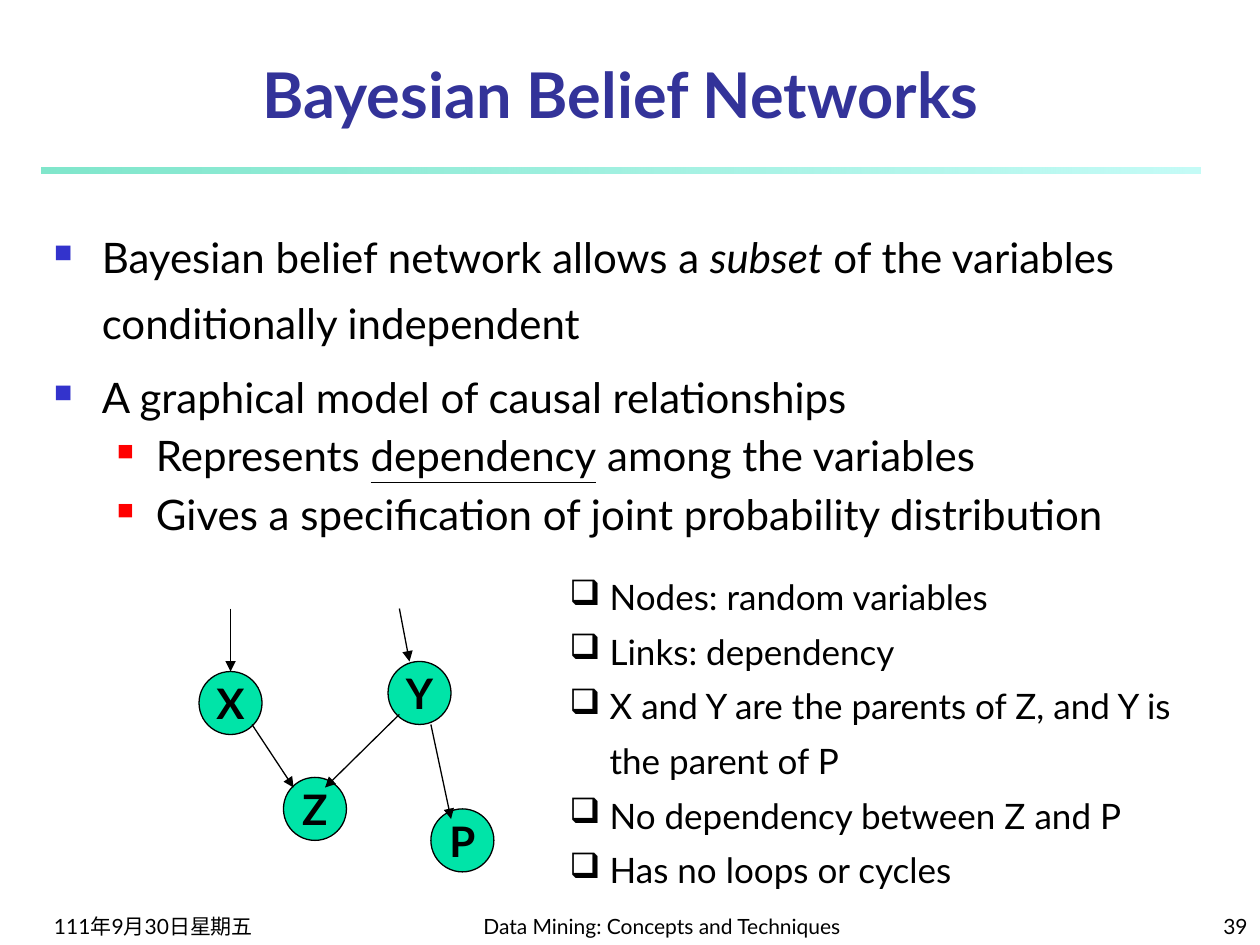
from dataclasses import dataclass

from lxml.etree import SubElement
from pptx import Presentation
from pptx.dml.color import RGBColor
from pptx.enum.shapes import MSO_CONNECTOR, MSO_SHAPE
from pptx.enum.text import MSO_ANCHOR, PP_ALIGN
from pptx.oxml.ns import qn
from pptx.util import Inches, Pt


@dataclass(frozen=True)
class Theme:
    font: str = "Lato"
    ink: str = "000000"
    title: str = "333399"
    node: str = "00E4A8"
    bullet: str = "3333CC"
    sub_bullet: str = "FF0000"
    rule: tuple = (("00CE98", 50), ("8FF9EF", 52))
    title_size: int = 36
    body_size: int = 24
    list_size: int = 20
    footer_size: int = 12


class SlideBuilder:
    def __init__(self, slide, theme):
        self.slide = slide
        self.theme = theme

    def style(self, para, size, color=None, bold=False):
        for span in para.runs:
            font = span.font
            font.name, font.size, font.bold = self.theme.font, Pt(size), bold
            font.color.rgb = RGBColor.from_string(color or self.theme.ink)

    def text_box(self, place, anchor=MSO_ANCHOR.TOP):
        box = self.slide.shapes.add_textbox(*map(Inches, place))
        box.text_frame.word_wrap = True
        box.text_frame.vertical_anchor = anchor
        return box.text_frame

    def label(self, place, text, size, align, color=None, bold=False):
        frame = self.text_box(place, MSO_ANCHOR.BOTTOM)
        frame.text = text
        para = frame.paragraphs[0]
        para.alignment = align
        self.style(para, size, color, bold)

    def bullet(self, para, char, left, hanging, color=None, percent=100):
        props = para._p.get_or_add_pPr()
        props.set("marL", str(Inches(left)))
        props.set("indent", str(-Inches(hanging)))
        bullet_color = SubElement(props, qn("a:buClr"))
        SubElement(bullet_color, qn("a:srgbClr"), val=color or self.theme.ink)
        SubElement(props, qn("a:buSzPct"), val=str(percent * 1000))
        SubElement(props, qn("a:buChar"), char=char)

    def paragraph(self, frame, index):
        return frame.add_paragraph() if index else frame.paragraphs[0]

    def outline(self, place, items):
        """Each item is a level and its spans; a span is a text and a style."""
        frame = self.text_box(place)
        levels = ((0.38, 0.38, self.theme.bullet, 60),
                  (0.81, 0.31, self.theme.sub_bullet, 55))
        for index, (level, spans) in enumerate(items):
            para = self.paragraph(frame, index)
            para.level = level
            self.bullet(para, "■", *levels[level])
            if level == 0:
                para.line_spacing = 1.3
            if index:
                para.space_before = Pt(self.theme.body_size * 0.2)
            for text, emphasis in spans:
                span = para.add_run()
                span.text = text
                span.font.italic = emphasis == "italic"
                span.font.underline = emphasis == "underline"
            self.style(para, self.theme.body_size)

    def checklist(self, place, items):
        frame = self.text_box(place)
        for index, text in enumerate(items):
            para = self.paragraph(frame, index)
            para.text = text
            para.line_spacing = 1.3
            self.bullet(para, "❑", 0.32, 0.32)
            self.style(para, self.theme.list_size)

    def rule(self, place):
        bar = self.slide.shapes.add_shape(MSO_SHAPE.RECTANGLE, *map(Inches, place))
        bar.shadow.inherit = False
        bar.line.fill.background()
        bar.fill.gradient()
        bar.fill.gradient_angle = 0
        for stop, (color, opacity) in zip(bar.fill.gradient_stops, self.theme.rule):
            stop.color.rgb = RGBColor.from_string(color)
        colors = bar._element.spPr.iter(qn("a:srgbClr"))
        for color, (_, opacity) in zip(list(colors), self.theme.rule):
            SubElement(color, qn("a:alpha"), val=str(opacity * 1000))

    def node(self, name, left, top, size=0.5):
        circle = self.slide.shapes.add_shape(
            MSO_SHAPE.FLOWCHART_CONNECTOR, *map(Inches, (left, top, size, size)))
        circle.shadow.inherit = False
        circle.fill.solid()
        circle.fill.fore_color.rgb = RGBColor.from_string(self.theme.node)
        circle.line.color.rgb = RGBColor.from_string(self.theme.ink)
        circle.line.width = Pt(0.75)
        frame = circle.text_frame
        frame.text = name
        frame.word_wrap = False
        frame.vertical_anchor = MSO_ANCHOR.MIDDLE
        frame.paragraphs[0].alignment = PP_ALIGN.CENTER
        self.style(frame.paragraphs[0], self.theme.body_size, bold=True)
        return circle

    def arrow(self, start, end):
        link = self.slide.shapes.add_connector(
            MSO_CONNECTOR.STRAIGHT, *map(Inches, (*start, *end)))
        link.line.color.rgb = RGBColor.from_string(self.theme.ink)
        link.line.width = Pt(0.75)
        SubElement(link.line._get_or_add_ln(), qn("a:tailEnd"), type="triangle")
        SubElement(link._element.spPr, qn("a:effectLst"))
        return link


def main():
    deck = Presentation()
    deck.slide_width, deck.slide_height = Inches(10), Inches(7.5)
    theme = Theme()
    page = SlideBuilder(deck.slides.add_slide(deck.slide_layouts[6]), theme)

    # Title and rule
    page.rule((0.33, 1.33, 9.2, 0.05))
    page.label((0.33, 0.42, 9.19, 0.67), "Bayesian Belief Networks",
               theme.title_size, PP_ALIGN.CENTER, theme.title, True)

    # Footer
    for left, width, text, align in (
        (0.33, 2.08, "111年9月30日星期五", PP_ALIGN.LEFT),
        (3.67, 3.17, "Data Mining: Concepts and Techniques", PP_ALIGN.CENTER),
        (7.92, 2.08, "39", PP_ALIGN.RIGHT),
    ):
        page.label((left, 7.08, width, 0.42), text, theme.footer_size, align)

    # Main points
    page.outline((0.33, 1.67, 9.33, 5.5), (
        (0, (("Bayesian belief network allows a ", None), ("subset", "italic"),
             (" of the variables conditionally independent", None))),
        (0, (("A graphical model of causal relationships", None),)),
        (1, (("Represents ", None), ("dependency", "underline"),
             (" among the variables", None))),
        (1, (("Gives a specification of joint probability distribution", None),)),
    ))

    # Network: nodes, then links
    places = {"X": (1.58, 5.33), "Y": (3.08, 5.25), "Z": (2.25, 6.17), "P": (3.42, 6.42)}
    nodes = {name: page.node(name, *place) for name, place in places.items()}
    for start, end in (
        ((2, 5.75), (2.33, 6.25)),
        ((3.17, 5.67), (2.58, 6.25)),
        ((3.42, 5.75), (3.58, 6.5)),
        ((3.17, 4.83), (3.25, 5.25)),
    ):
        page.arrow(start, end)
    page.arrow((1.83, 4.83), (1.83, 5.33)).end_connect(nodes["X"], 0)

    # Reading the network
    page.checklist((4.42, 4.42, 5.4, 2.7), (
        "Nodes: random variables",
        "Links: dependency",
        "X and Y are the parents of Z, and Y is the parent of P",
        "No dependency between Z and P",
        "Has no loops or cycles",
    ))

    deck.save("out.pptx")


if __name__ == "__main__":
    main()
